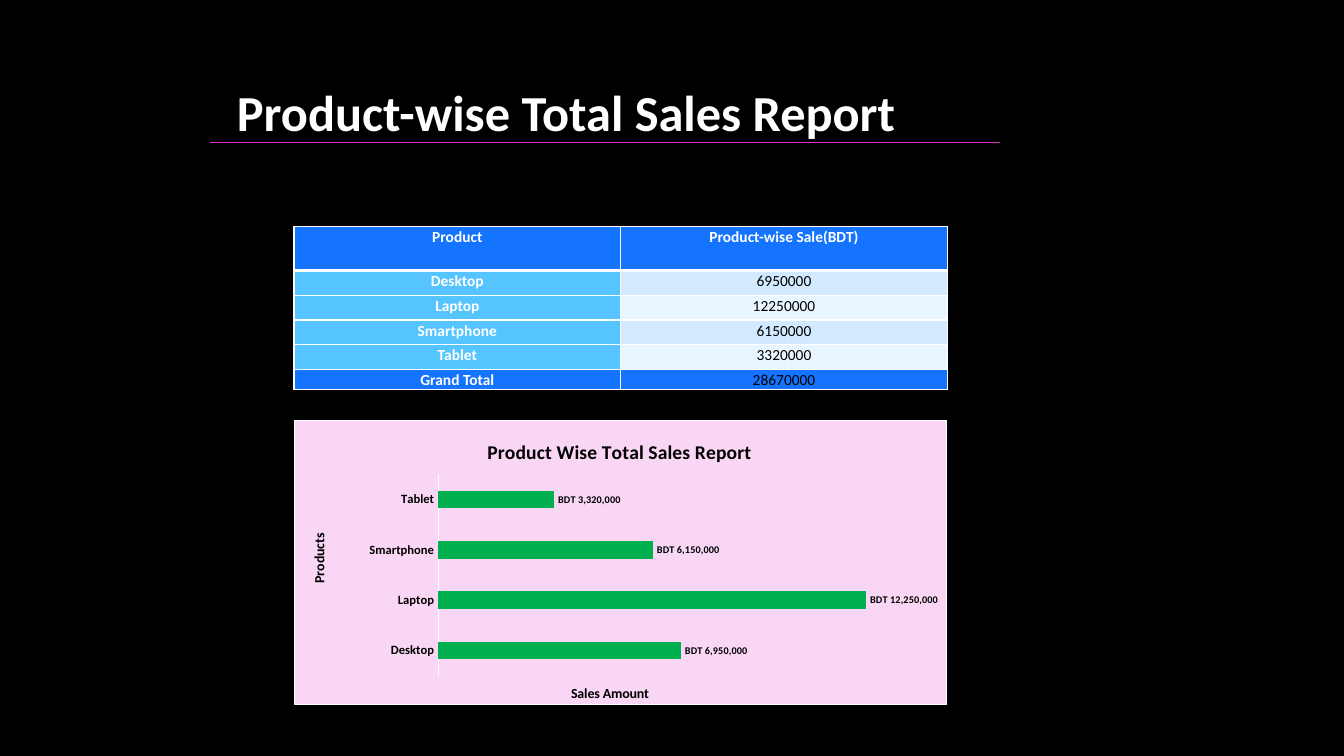
from dataclasses import dataclass

from lxml import etree
from pptx import Presentation
from pptx import util as u
from pptx.chart.data import CategoryChartData
from pptx.dml.color import RGBColor
from pptx.enum import chart as charts, shapes, text
from pptx.oxml import parse_xml
from pptx.oxml.ns import nsdecls, qn

# Slide grid: 160 columns by 90 rows
COLUMNS, ROWS = 160, 90
WIDTH, HEIGHT = u.Inches(13.33), u.Inches(7.5)
FONT = "Calibri"
WHITE, BLACK, BLUE, SKY = "FFFFFF", "000000", "1474FF", "56C5FF"


@dataclass(frozen=True)
class Area:
    left: float
    top: float
    width: float
    height: float

    def lengths(self) -> tuple[int, int, int, int]:
        return col(self.left), row(self.top), col(self.width), row(self.height)


@dataclass(frozen=True)
class TableLine:
    label: str
    value: str
    label_fill: str
    value_fill: str
    height: float
    value_color: str = BLACK
    value_bold: bool = False


PRODUCTS = {"Desktop": 6950000, "Laptop": 12250000,
            "Smartphone": 6150000, "Tablet": 3320000}
BANDS = ("D1EAFF", "E9F5FF")
TABLE_LINES = [
    TableLine("Product", "Product-wise Sale(BDT)", BLUE, BLUE, 5.2, WHITE, True),
    *(TableLine(name, str(sale), SKY, BANDS[i % 2], 2.95)
      for i, (name, sale) in enumerate(PRODUCTS.items())),
    TableLine("Grand Total", str(sum(PRODUCTS.values())), BLUE, BLUE, 2.35),
]
TITLE_AREA = Area(27, 9, 94, 8.5)
TABLE_AREA = Area(35, 27, 77.8, sum(line.height for line in TABLE_LINES))
CHART_AREA = Area(35, 50, 77.8, 34)


def col(count: float) -> int:
    return round(WIDTH * count / COLUMNS)


def row(count: float) -> int:
    return round(HEIGHT * count / ROWS)


def color(value: str) -> RGBColor:
    return RGBColor.from_string(value)


def style_font(font, size: float, value: str, bold: bool = True) -> None:
    font.name, font.size, font.bold = FONT, u.Pt(size), bold
    font.color.rgb = color(value)


def add_span(para, words: str, size: float, value: str, bold: bool = True) -> None:
    span = para.add_run()
    span.text = words
    style_font(span.font, size, value, bold)


def add_title(page) -> None:
    box = page.shapes.title
    box.left, box.top, box.width, box.height = TITLE_AREA.lengths()
    frame = box.text_frame
    frame.word_wrap = True
    frame.auto_size = text.MSO_AUTO_SIZE.NONE
    frame.vertical_anchor = text.MSO_ANCHOR.TOP
    para = frame.paragraphs[0]
    para.alignment = text.PP_ALIGN.LEFT
    add_span(para, "Product-wise Total Sales Report", 36, WHITE)


def add_rule(page) -> None:
    rule = page.shapes.add_connector(
        shapes.MSO_CONNECTOR.STRAIGHT, col(25), row(17), col(119), row(17))
    rule.line.color.rgb = color("DB30C7")
    rule.line.width = u.Pt(0.5)
    etree.SubElement(rule.element.spPr, qn("a:effectLst"))


def set_borders(cell, top: float, bottom: float) -> None:
    properties = cell._tc.get_or_add_tcPr()
    widths = {"lnL": 1, "lnR": 1, "lnT": top, "lnB": bottom}
    for place, (tag, width) in enumerate(widths.items()):
        properties.insert(place, parse_xml(
            f'<a:{tag} {nsdecls("a")} w="{u.Pt(width)}"><a:solidFill>'
            f'<a:srgbClr val="{WHITE}"/></a:solidFill></a:{tag}>'))


def fill_cell(cell, words: str, fill: str, value: str, bold: bool) -> None:
    cell.fill.solid()
    cell.fill.fore_color.rgb = color(fill)
    cell.margin_left = cell.margin_right = u.Inches(0.07)
    cell.margin_top = cell.margin_bottom = 0
    para = cell.text_frame.paragraphs[0]
    para.alignment = text.PP_ALIGN.CENTER
    para.line_spacing = 1.07
    add_span(para, words, 11, value, bold)


def add_sales_table(page) -> None:
    table = page.shapes.add_table(len(TABLE_LINES), 2, *TABLE_AREA.lengths()).table
    for i, line in enumerate(TABLE_LINES):
        table.rows[i].height = row(line.height)
        label, value = table.rows[i].cells
        fill_cell(label, line.label, line.label_fill, WHITE, True)
        fill_cell(value, line.value, line.value_fill, line.value_color, line.value_bold)
        for cell in (label, value):
            set_borders(cell, top=3 if i == 1 else 1, bottom=3 if i == 0 else 1)


def layout_xml(x: float, y: float, w: float = 0, h: float = 0):
    """Manual layout in shares of the chart's size."""
    target = '<c:layoutTarget val="inner"/>' if w else ""
    size = f'<c:w val="{w}"/><c:h val="{h}"/>' if w else ""
    return parse_xml(
        f'<c:layout {nsdecls("c")}><c:manualLayout>{target}'
        f'<c:xMode val="edge"/><c:yMode val="edge"/>'
        f'<c:x val="{x}"/><c:y val="{y}"/>{size}</c:manualLayout></c:layout>')


def place(element, layout, index: int) -> None:
    for old in element.findall(qn("c:layout")):
        element.remove(old)
    element.insert(index, layout)


def write_chart_title(title, words: str, size: float, x: float, y: float) -> None:
    add_span(title.text_frame.paragraphs[0], words, size, BLACK)
    place(title.element, layout_xml(x, y), 1)


def add_sales_chart(page) -> None:
    data = CategoryChartData()
    data.categories = list(PRODUCTS)
    data.add_series("Series 1", list(PRODUCTS.values()))
    chart = page.shapes.add_chart(
        charts.XL_CHART_TYPE.BAR_CLUSTERED, *CHART_AREA.lengths(), data).chart
    chart.has_legend = False
    style_font(chart.font, 10, BLACK)

    # Chart background and plot position
    chart.element.find(qn("c:chart")).addnext(parse_xml(
        f'<c:spPr {nsdecls("c", "a")}><a:solidFill><a:srgbClr val="F8D6F4"/></a:solidFill>'
        f'<a:ln w="{u.Pt(0.75)}"><a:solidFill><a:srgbClr val="{WHITE}"/></a:solidFill>'
        f'</a:ln></c:spPr>'))
    plot_area = chart.element.find(f'{qn("c:chart")}/{qn("c:plotArea")}')
    place(plot_area, layout_xml(0.22, 0.19, 0.75, 0.71), 0)

    # Axes
    names, amounts = chart.category_axis, chart.value_axis
    names.major_tick_mark = charts.XL_TICK_MARK.NONE
    names.format.line.color.rgb = color(WHITE)
    names.format.line.width = u.Pt(0.75)
    style_font(names.tick_labels.font, 9, BLACK)
    amounts.has_major_gridlines = False
    amounts.minimum_scale, amounts.maximum_scale = 0, 14000000
    amounts.visible = False

    # Titles
    write_chart_title(chart.chart_title, "Product Wise Total Sales Report", 14, 0.29, 0.05)
    write_chart_title(names.axis_title, "Products", 10, 0.02, 0.39)
    write_chart_title(amounts.axis_title, "Sales Amount", 10, 0.42, 0.92)

    # Bars and labels
    plot = chart.plots[0]
    plot.gap_width = 182
    plot.vary_by_categories = False
    bars = plot.series[0]
    bars.format.fill.solid()
    bars.format.fill.fore_color.rgb = color("00B050")
    labels = bars.data_labels
    labels.show_value = True
    labels.number_format = "[$BDT]\\ #,##0"
    labels.number_format_is_linked = False
    labels.position = charts.XL_LABEL_POSITION.OUTSIDE_END
    style_font(labels.font, 7.3, BLACK)


def main() -> None:
    deck = Presentation()
    deck.slide_width, deck.slide_height = WIDTH, HEIGHT
    page = deck.slides.add_slide(deck.slide_layouts.get_by_name("Title Only"))
    page.background.fill.solid()
    page.background.fill.fore_color.rgb = color(BLACK)
    add_title(page)
    add_rule(page)
    add_sales_table(page)
    add_sales_chart(page)
    deck.save("out.pptx")


if __name__ == "__main__":
    main()
